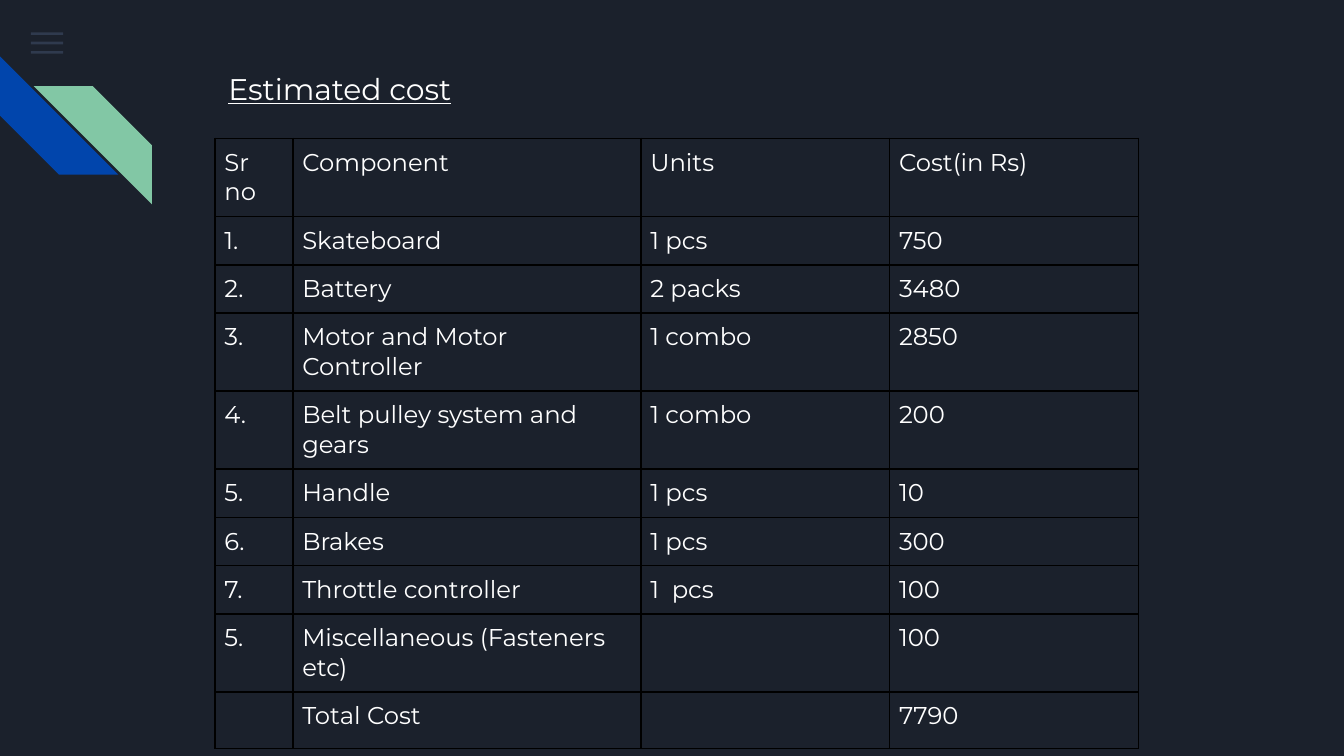
from lxml.etree import SubElement
from pptx import Presentation
from pptx.dml.color import RGBColor
from pptx.enum.shapes import MSO_SHAPE as Shape
from pptx.enum.text import MSO_ANCHOR as Anchor, MSO_AUTO_SIZE as AutoSize, PP_ALIGN as Align
from pptx.oxml.ns import qn
from pptx.util import Inches, Pt

NAVY = RGBColor(0x1B, 0x21, 0x2C)
SLATE = RGBColor(0x55, 0x68, 0x8B)
BLUE = RGBColor(0x01, 0x45, 0xAC)
GREEN = RGBColor(0x82, 0xC7, 0xA5)
WHITE = RGBColor(0xFF, 0xFF, 0xFF)
BLACK = RGBColor(0, 0, 0)

ROWS = [
    ("Sr no", "Component", "Units", "Cost(in Rs)"),
    ("1.", "Skateboard", "1 pcs", "750"),
    ("2.", "Battery", "2 packs", "3480"),
    ("3.", "Motor and Motor Controller", "1 combo", "2850"),
    ("4.", "Belt pulley system and gears", "1 combo", "200"),
    ("5.", "Handle", "1 pcs", "10"),
    ("6.", "Brakes", "1 pcs", "300"),
    ("7.", "Throttle controller", "1  pcs", "100"),
    ("5.", "Miscellaneous (Fasteners etc)", "", "100"),
    ("", "Total Cost", "", "7790"),
]
COLUMN_WIDTHS = [0.58, 2.59, 1.85, 1.85]
SINGLE, DOUBLE, TOTAL = 0.36, 0.58, 0.42
ROW_HEIGHTS = [DOUBLE, SINGLE, SINGLE, DOUBLE, DOUBLE, SINGLE, SINGLE, SINGLE, DOUBLE, TOTAL]

deck = Presentation()
deck.slide_width = Inches(10)
deck.slide_height = Inches(10 * 9 / 16)
page = deck.slides.add_slide(deck.slide_layouts[5])
page.background.fill.solid()
page.background.fill.fore_color.rgb = NAVY


def add_solid(kind, left, top, width, height, color):
    shape = page.shapes.add_shape(kind, Inches(left), Inches(top), Inches(width), Inches(height))
    shape.shadow.inherit = False
    shape.fill.solid()
    shape.fill.fore_color.rgb = color
    shape.line.fill.background()
    return shape


def write(frame, text, size, underline=None):
    para = frame.paragraphs[0]
    para.alignment = Align.LEFT
    if text:
        span = para.add_run()
        span.text = text
        span.font.name = "Montserrat"
        span.font.size = Pt(size)
        span.font.color.rgb = WHITE
        span.font.underline = underline
    else:
        SubElement(para._p, qn("a:endParaRPr"), sz=str(size * 100))
    return para


for index in range(3):
    bar = add_solid(Shape.RECTANGLE, 0.23, 0.24 + 0.07 * index, 0.24, 0.02, SLATE)
    color = bar.fill._xPr.find(".//" + qn("a:srgbClr"))
    SubElement(color, qn("a:alpha"), val="36000")

blue_stripe = add_solid(Shape.DIAGONAL_STRIPE, 0, 0.42, 0.88, 0.88, BLUE)
blue_stripe.rotation = 270
green_stripe = add_solid(Shape.DIAGONAL_STRIPE, 0.25, 0.64, 0.88, 0.88, GREEN)
green_stripe._element.spPr.find(qn("a:xfrm")).set("flipH", "1")

table = page.shapes.add_table(
    len(ROWS), len(COLUMN_WIDTHS), Inches(1.6), Inches(1.03),
    Inches(sum(COLUMN_WIDTHS)), Inches(sum(ROW_HEIGHTS)),
).table
table.first_row = False
table.horz_banding = False
for column, width in zip(table.columns, COLUMN_WIDTHS):
    column.width = Inches(width)

for row, height, texts in zip(table.rows, ROW_HEIGHTS, ROWS):
    row.height = Inches(height)
    for cell, text in zip(row.cells, texts):
        cell.margin_left = cell.margin_right = Inches(0.07)
        cell.margin_top = cell.margin_bottom = Inches(0.07)
        properties = cell._tc.get_or_add_tcPr()
        for side in ("a:lnL", "a:lnR", "a:lnT", "a:lnB"):
            border = SubElement(properties, qn(side), w=str(Pt(1)))
            fill = SubElement(border, qn("a:solidFill"))
            SubElement(fill, qn("a:srgbClr"), val=str(BLACK))
        cell.fill.background()
        write(cell.text_frame, text, 13)

title = page.shapes.title
title.left, title.top = Inches(1.6), Inches(0.15)
title.width, title.height = Inches(3.28), Inches(0.98)
frame = title.text_frame
frame.auto_size = AutoSize.NONE
frame.word_wrap = True
frame.vertical_anchor = Anchor.MIDDLE
frame.margin_left = frame.margin_right = Inches(0.1)
frame.margin_top = frame.margin_bottom = Inches(0.1)
heading = write(frame, "Estimated cost", 16, underline=True)
heading.line_spacing = 1.15

deck.save("out.pptx")
